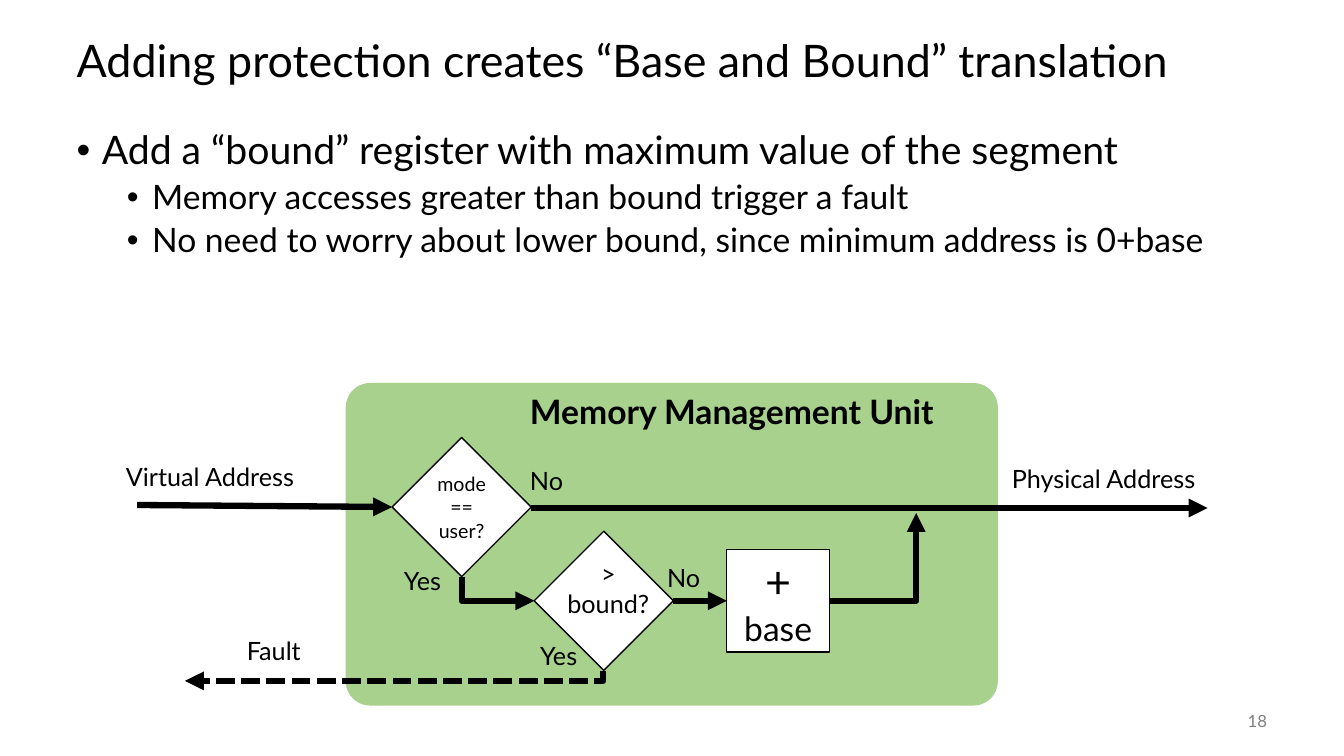
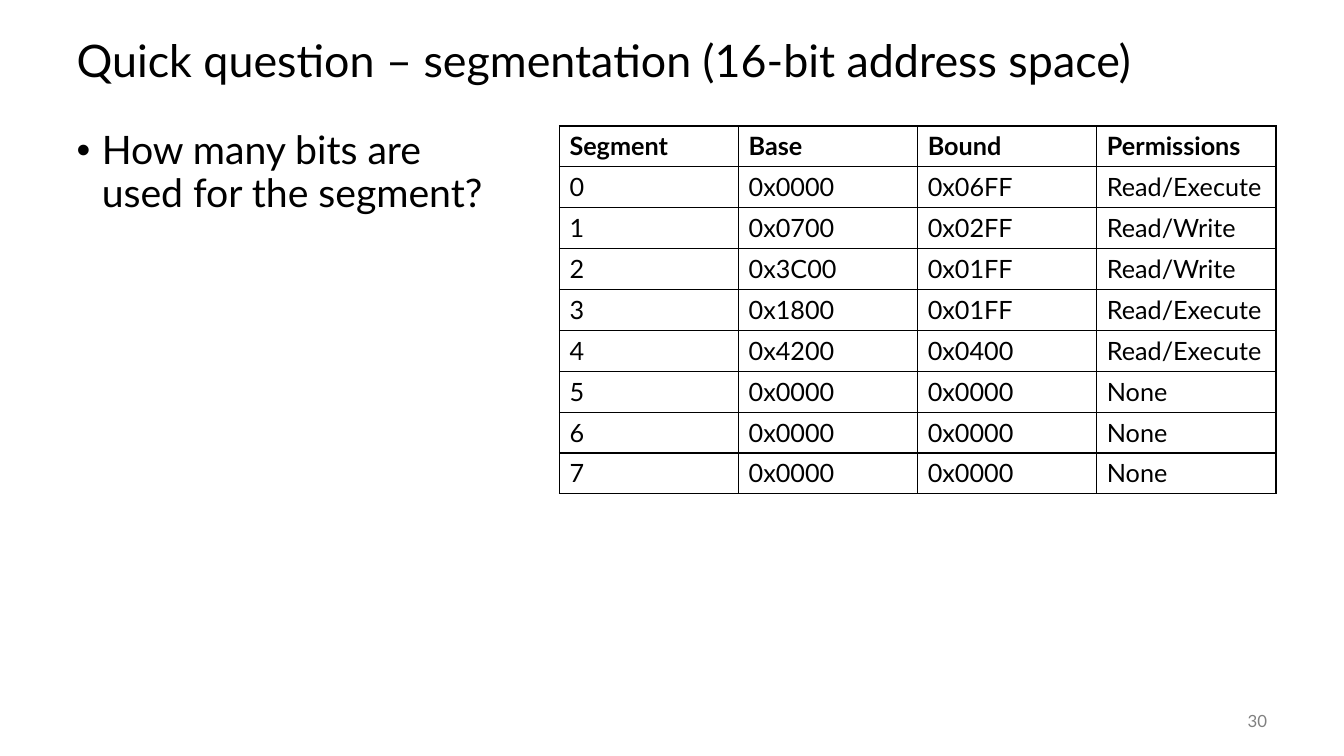
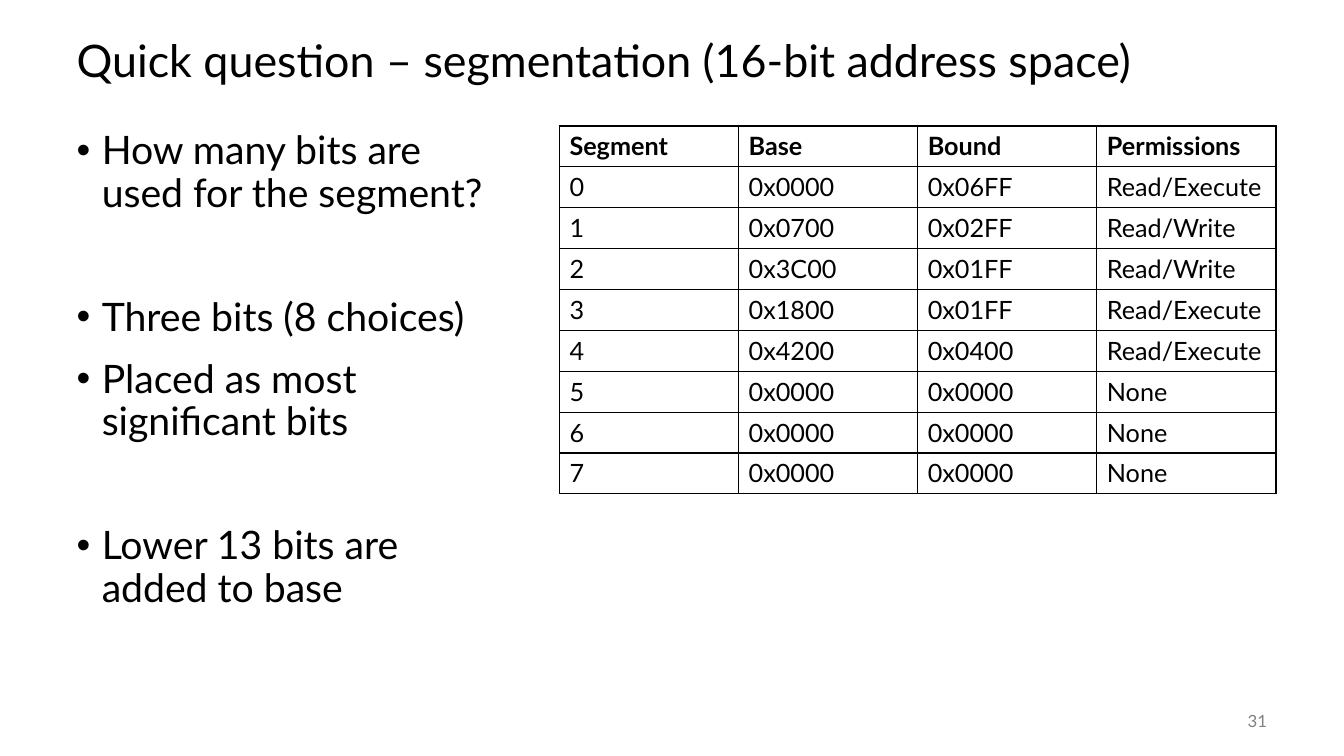
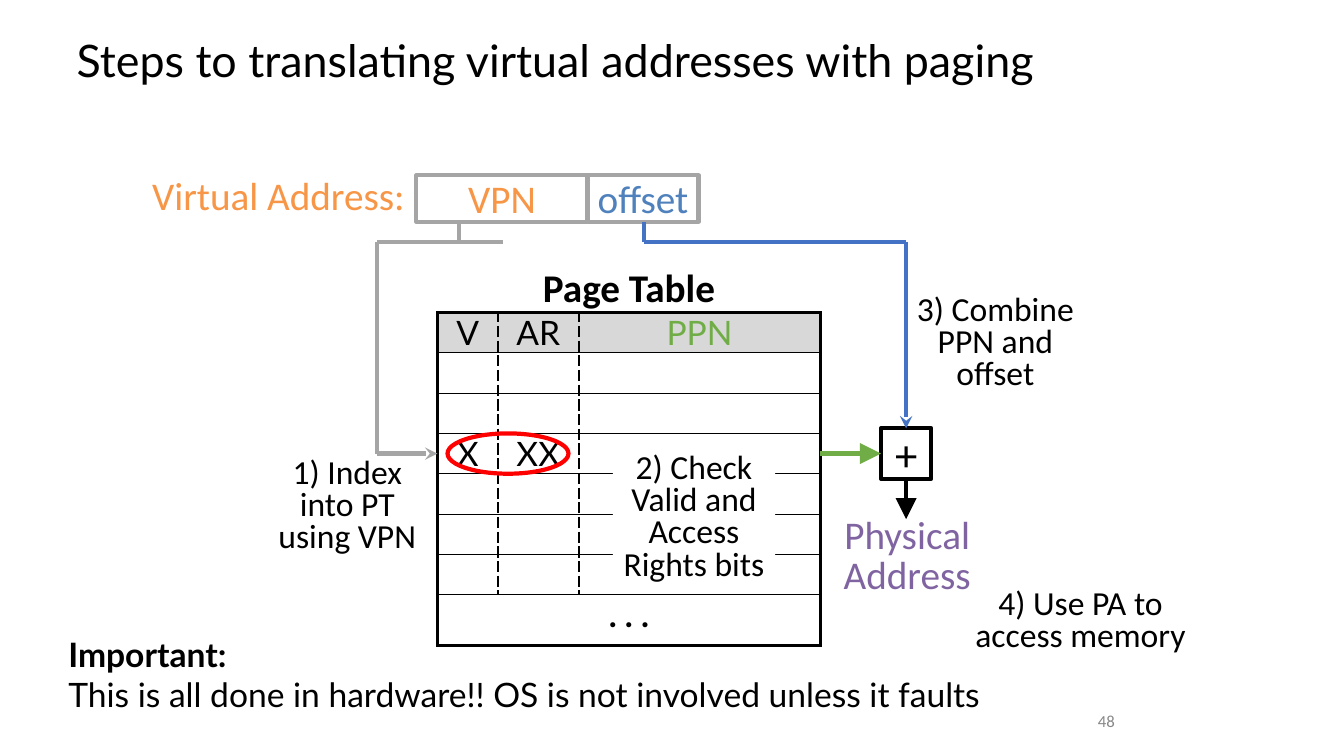
from lxml.etree import SubElement
from pptx import Presentation
from pptx.dml.color import RGBColor
from pptx.enum.dml import MSO_LINE
from pptx.enum.shapes import MSO_CONNECTOR, MSO_SHAPE as SHAPE
from pptx.enum.text import MSO_ANCHOR as ANCHOR, MSO_AUTO_SIZE, PP_ALIGN as ALIGN
from pptx.oxml.ns import qn
from pptx.util import Inches, Pt

rgb = RGBColor.from_string
BLACK, WHITE, GRAY, RED = "000000", "FFFFFF", "A5A5A5", "FF0000"
GREEN, BLUE, ORANGE, PURPLE = "70AD47", "4472C4", "F79646", "8064A2"


def write(frame, text, size=18, color=BLACK, font="Lato", bold=False, align=ALIGN.LEFT,
          spacing=1.0, before=0, level=None, anchor=None, inset=None):
    frame.word_wrap = True
    if anchor is not None:
        frame.vertical_anchor = anchor
    if inset is not None:
        frame.margin_left, frame.margin_top, frame.margin_right, frame.margin_bottom = map(Inches, inset)
    for line in text.split("\n"):
        para = frame.paragraphs[0]
        if para.runs:
            para = frame.add_paragraph()
        if level is not None:
            para.level = level
            properties = para._p.get_or_add_pPr()
            properties.set("marL", str(Inches(0.25 + 0.5 * level)))
            properties.set("indent", str(Inches(-0.25)))
            SubElement(properties, qn("a:buFont"), typeface="Arial")
            SubElement(properties, qn("a:buChar"), char="•")
        para.alignment = align
        para.line_spacing = spacing
        para.space_before = Pt(before)
        span = para.add_run()
        span.text = line
        span.font.size = Pt(size)
        span.font.name = font
        span.font.bold = bold
        span.font.color.rgb = rgb(color)


def border(cell, **sides):
    properties = cell._tc.get_or_add_tcPr()
    for side in "LRTB":
        width, dash = sides[side]
        line = SubElement(properties, qn(f"a:ln{side}"), w=str(Pt(width)))
        SubElement(SubElement(line, qn("a:solidFill")), qn("a:srgbClr"), val=BLACK)
        SubElement(line, qn("a:prstDash"), val=dash)


deck = Presentation()
deck.slide_width, deck.slide_height = Inches(40 / 3), Inches(7.5)

bullet = dict(size=28, spacing=0.9, before=14, level=0)
first_bullet = {**bullet, "before": 0}
gap_bullet = {**bullet, "before": 58.4}
sub_bullet = dict(size=24, spacing=0.9, before=5, level=1)
number = dict(size=12, color="808080", align=ALIGN.RIGHT, anchor=ANCHOR.MIDDLE)
question = "Quick question – segmentation (16-bit address space)"
bits = ("How many bits are used for the segment?", first_bullet)

outline = [
    ("Adding protection creates “Base and Bound” translation", 18, 12, [
        ("Add a “bound” register with maximum value of the segment", first_bullet),
        ("Memory accesses greater than bound trigger a fault", sub_bullet),
        ("No need to worry about lower bound, since minimum address is 0+base", sub_bullet)]),
    (question, 30, 4.47, [bits]),
    (question, 31, 4.47, [
        bits,
        ("Three bits (8 choices)", gap_bullet),
        ("Placed as most significant bits", bullet),
        ("Lower 13 bits are added to base", gap_bullet)]),
    ("Steps to translating virtual addresses with paging", 48, 0, []),
]

pages = []
for heading, page_number, body_width, bullets in outline:
    page = deck.slides.add_slide(deck.slide_layouts[1 if bullets else 5])
    pages.append(page)
    title = page.shapes.title
    title.left, title.top, title.width, title.height = map(Inches, (0.66, 0.25, 12, 0.75))
    title.text_frame.auto_size = MSO_AUTO_SIZE.NONE
    write(title.text_frame, heading, size=32, spacing=0.9, anchor=ANCHOR.MIDDLE)
    if bullets:
        body = page.placeholders[1]
        body.left, body.top, body.width, body.height = map(Inches, (0.66, 1.25, body_width, 5.5))
        body.text_frame.auto_size = MSO_AUTO_SIZE.NONE
        for text, style in bullets:
            write(body.text_frame, text, **style)
        place, style = (11.67, 6.95, 1, 0.4), number
    else:
        place, style = (8.83, 6.95, 2.33, 0.4), {**number, "font": "Calibri", "color": "888888"}
    box = page.shapes.add_textbox(*map(Inches, place))
    write(box.text_frame, str(page_number), **style)

protection, bits_question, bits_answer, paging = pages

segments = [
    ("Segment", "Base", "Bound", "Permissions"),
    ("0", "0x0000", "0x06FF", "Read/Execute"),
    ("1", "0x0700", "0x02FF", "Read/Write"),
    ("2", "0x3C00", "0x01FF", "Read/Write"),
    ("3", "0x1800", "0x01FF", "Read/Execute"),
    ("4", "0x4200", "0x0400", "Read/Execute"),
    ("5", "0x0000", "0x0000", "None"),
    ("6", "0x0000", "0x0000", "None"),
    ("7", "0x0000", "0x0000", "None"),
]
thin, thick, dashed = (1, "solid"), (2.25, "solid"), (1.5, "lgDash")

for page in (bits_question, bits_answer):
    table = page.shapes.add_table(9, 4, Inches(5.55), Inches(1.25), Inches(7.11), Inches(3.65)).table
    table.first_row = table.horz_banding = False
    for row, values in enumerate(segments):
        for column, value in enumerate(values):
            cell = table.cell(row, column)
            write(cell.text_frame, value, bold=row == 0)
            border(cell, L=thin, R=thin, T=thin, B=thin)
            cell.fill.background()

entries = {(0, 0): "V", (0, 1): "AR", (0, 2): "PPN", (3, 0): "X", (3, 1): "XX", (7, 0): ". . ."}
table = paging.shapes.add_table(8, 3, Inches(4.34), Inches(3.1), Inches(3.8), Inches(3.3)).table
table.first_row = table.horz_banding = False
for column, width in zip(table.columns, (0.6, 0.8, 2.4)):
    column.width = Inches(width)
for index, row in enumerate(table.rows):
    row.height = Inches(0.5 if index == 7 else 0.4)
    for column, cell in enumerate(row.cells):
        cell.margin_left = cell.margin_top = cell.margin_right = cell.margin_bottom = 0
        if (index, column) in entries:
            write(cell.text_frame, entries[index, column], size=24, align=ALIGN.CENTER,
                  color=GREEN if (index, column) == (0, 2) else BLACK, bold=index == 7)
        inner = thick if index == 7 else dashed
        border(cell, L=inner if column else thick, R=inner if column < 2 else thick,
               T=thin if index else thick, B=thick if index == 7 else thin)
        if index == 0:
            cell.fill.solid()
            cell.fill.fore_color.rgb = rgb("D8D8D8")
        else:
            cell.fill.background()
table.cell(7, 0).merge(table.cell(7, 2))

centered = dict(align=ALIGN.CENTER, anchor=ANCHOR.MIDDLE)
field = dict(size=28, font="Calibri", align=ALIGN.CENTER, spacing=0.75, anchor=ANCHOR.TOP,
             inset=(0.07, 0.1, 0.07, 0))
caption = dict(size=28, font="Calibri", spacing=0.85, inset=(0.07, 0.03, 0.07, 0.03))
step = dict(size=24, font="Calibri", align=ALIGN.CENTER, spacing=0.8)
tight = dict(inset=(0, 0, 0, 0))

shapes = [
    (protection, SHAPE.ROUNDED_RECTANGLE, (3.43, 3.8, 6.47, 3.2), "A9D18E", None, 0, []),
    (protection, SHAPE.DIAMOND, (3.89, 4.34, 1.38, 1.38), WHITE, BLACK, 1,
     [("mode == user?", {**centered, "size": 14})]),
    (protection, SHAPE.DIAMOND, (5.3, 5.27, 1.38, 1.38), WHITE, BLACK, 1, []),
    (protection, SHAPE.RECTANGLE, (7.21, 5.45, 1.02, 1.02), WHITE, BLACK, 1,
     [("+", {**centered, "size": 32}), ("base", {**centered, "size": 24})]),
    (paging, SHAPE.RECTANGLE, (4.13, 1.74, 1.7, 0.46), None, GRAY, 3, [("VPN", {**field, "color": ORANGE})]),
    (paging, SHAPE.RECTANGLE, (5.83, 1.74, 1.1, 0.46), None, GRAY, 3, [("offset", {**field, "color": "4F81BD"})]),
    (paging, SHAPE.RECTANGLE, (6.08, 4.5, 1.61, 1.3), WHITE, None, 0,
     [("2) Check Valid and Access Rights bits", {**step, **tight, "anchor": ANCHOR.TOP})]),
    (paging, SHAPE.OVAL, (4.44, 4.3, 1.2, 0.4), None, RED, 3, []),
    (paging, SHAPE.RECTANGLE, (8.74, 4.25, 0.5, 0.5), None, BLACK, 3,
     [("+", {**centered, **tight, "size": 32, "font": "Calibri"})]),
]
for page, kind, place, fill, color, weight, lines in shapes:
    shape = page.shapes.add_shape(kind, *map(Inches, place))
    shape.shadow.inherit = False
    if kind == SHAPE.ROUNDED_RECTANGLE:
        shape.adjustments[0] = 0.076
    if fill:
        shape.fill.solid()
        shape.fill.fore_color.rgb = rgb(fill)
    else:
        shape.fill.background()
    if color:
        shape.line.color.rgb = rgb(color)
        shape.line.width = Pt(weight)
    else:
        shape.line.fill.background()
    for text, style in lines:
        write(shape.text_frame, text, **style)

labels = [
    (protection, (1.15, 4.53, 2.04, 0.4), [("Virtual Address", {})]),
    (protection, (9.94, 4.55, 2.04, 0.4), [("Physical Address", {})]),
    (protection, (3.91, 5.56, 0.67, 0.4), [("Yes", {})]),
    (protection, (5.16, 4.57, 0.67, 0.4), [("No", {})]),
    (protection, (5.16, 3.83, 4.74, 0.5), [("Memory Management Unit", dict(size=24, bold=True))]),
    (protection, (5.48, 5.49, 1.11, 0.71), [(">\nbound?", dict(align=ALIGN.CENTER))]),
    (protection, (6.52, 5.53, 0.67, 0.4), [("No", {})]),
    (protection, (5.26, 6.3, 0.67, 0.4), [("Yes", {})]),
    (protection, (2.35, 6.25, 1.05, 0.4), [("Fault", {})]),
    (paging, (1.44, 1.74, 2.67, 0.46), [("Virtual Address:", {**caption, "color": ORANGE})]),
    (paging, (4.34, 2.65, 3.8, 0.46), [("Page Table", {**caption, "align": ALIGN.CENTER, "bold": True})]),
    (paging, (2.64, 4.5, 1.61, 1.08), [("1) Index into PT using VPN", step)]),
    (paging, (8.99, 2.88, 1.77, 1.08), [("3) Combine PPN and offset", step)]),
    (paging, (8.29, 5.1, 1.42, 0.86),
     [("Physical\nAddress", {**caption, "align": ALIGN.CENTER, "color": PURPLE})]),
    (paging, (9.47, 5.8, 2.5, 1.07), [("4) Use PA to access memory", step)]),
    (paging, (0.58, 6.24, 9.6, 0.91),
     [("Important:", dict(size=24, bold=True)),
      ("This is all done in hardware!! OS is not involved unless it faults", dict(size=24))]),
]
for page, place, lines in labels:
    box = page.shapes.add_textbox(*map(Inches, place))
    for text, style in lines:
        write(box.text_frame, text, **style)

thick_arrow = dict(weight=4.5, arrow=dict(type="triangle"))
large_arrow = dict(arrow=dict(type="triangle", w="lg", len="lg"))
stealth_arrow = dict(arrow=dict(type="stealth"))
routes = [
    (protection, [(1.36, 5.01), (3.89, 5.03)], BLACK, thick_arrow),
    (protection, [(5.27, 5.04), (11.98, 5.04)], BLACK, thick_arrow),
    (protection, [(5.06, 5.48), (4.82, 6.2)], BLACK, {**thick_arrow, "turn": 270}),
    (protection, [(8.23, 5.96), (9.09, 5.09)], BLACK, {**thick_arrow, "turn": 0}),
    (protection, [(6.68, 5.96), (7.21, 5.96)], BLACK, thick_arrow),
    (protection, [(3.86, 4.63), (3.96, 8.78)], BLACK,
     {**thick_arrow, "turn": 90, "dash": MSO_LINE.SQUARE_DOT}),
    (paging, [(4.55, 2.2), (4.55, 2.4)], GRAY, {}),
    (paging, [(4.99, 2.4), (3.74, 2.4), (3.74, 4.5), (4.34, 4.5)], GRAY, stealth_arrow),
    (paging, [(6.39, 2.2), (6.39, 2.4), (8.99, 2.4), (8.99, 4.25)], BLUE, stealth_arrow),
    (paging, [(8.14, 4.5), (8.74, 4.5)], GREEN, large_arrow),
    (paging, [(8.99, 4.75), (8.99, 5.15)], BLACK, large_arrow),
]
for page, points, color, style in routes:
    kind = MSO_CONNECTOR.ELBOW if "turn" in style else MSO_CONNECTOR.STRAIGHT
    for start, end in zip(points, points[1:]):
        connector = page.shapes.add_connector(kind, *map(Inches, start + end))
        connector.line.color.rgb = rgb(color)
        connector.line.width = Pt(style.get("weight", 3))
        properties = connector._element.spPr
        if "turn" in style:
            properties.find(qn("a:prstGeom")).set("prst", "bentConnector2")
            properties.find(qn("a:xfrm")).set("rot", str(style["turn"] * 60000))
        if "dash" in style:
            connector.line.dash_style = style["dash"]
        if "arrow" in style and end == points[-1]:
            SubElement(properties.find(qn("a:ln")), qn("a:tailEnd"), **style["arrow"])
        SubElement(properties, qn("a:effectLst"))

deck.save("out.pptx")
